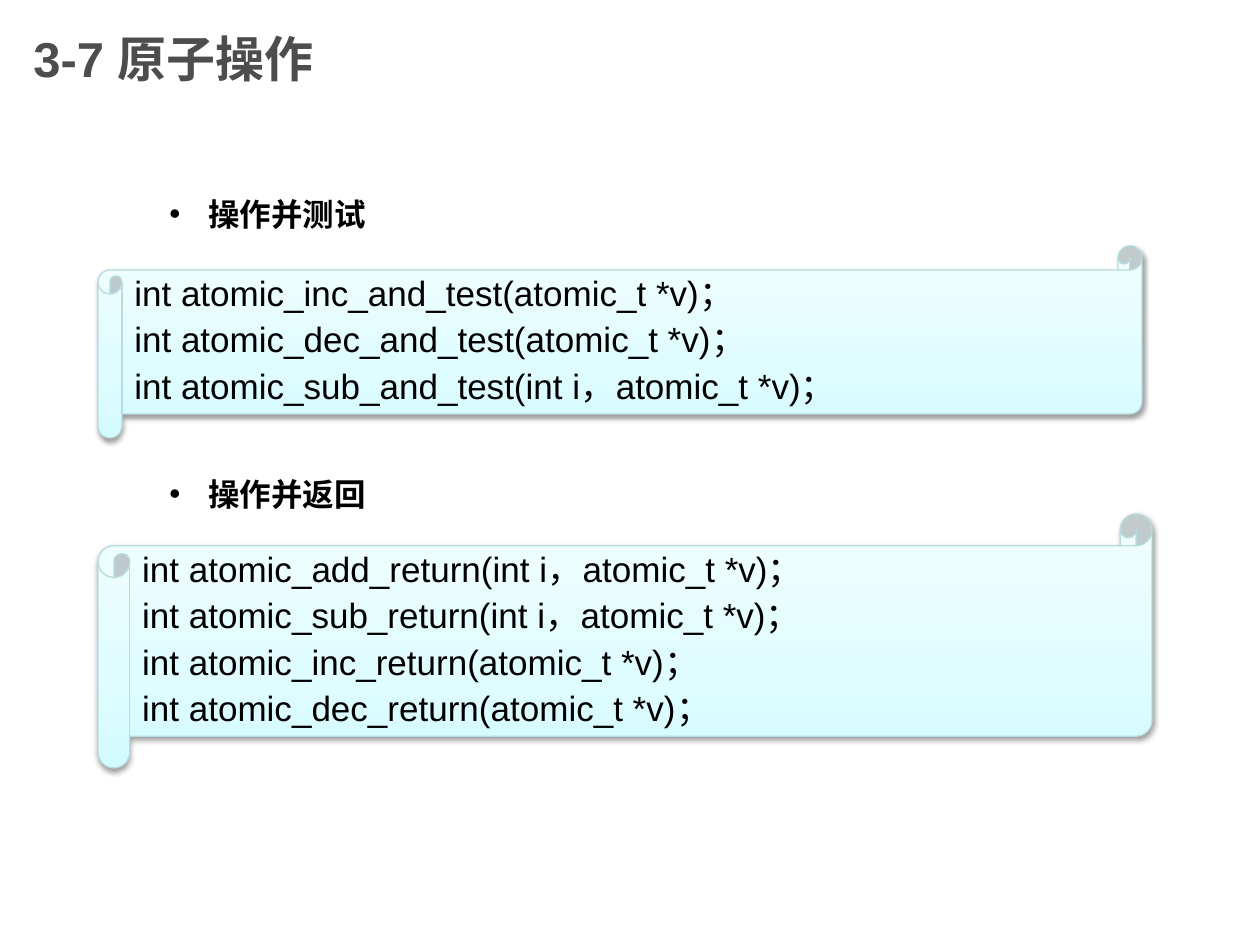
from copy import deepcopy

from lxml.etree import SubElement
from pptx import Presentation
from pptx.dml.color import RGBColor
from pptx.enum.shapes import MSO_SHAPE
from pptx.enum.text import MSO_ANCHOR, PP_ALIGN
from pptx.oxml.ns import qn
from pptx.util import Emu, Pt

PX_PER_INCH = 126
FONT = "Arial"
COLORS = {
    "title": "4D4D4D",
    "text": "000000",
    "scroll_line": "B6DCDF",
    "shadow": "000000",
    "scroll_bottom": "D3FBFF",
    "scroll_middle": "DFFCFF",
    "scroll_top": "F2FEFF",
}
SCROLL_STOPS = [(0, "scroll_bottom"), (0.35, "scroll_middle"), (1, "scroll_top")]


def px(length):
    return Emu(round(length * 914400 / PX_PER_INCH))


def color(name):
    return RGBColor.from_string(COLORS[name])


def format_runs(paragraph, size, color_name, bold=False):
    """Give every run its Latin and East Asian font, size and colour."""
    for run in paragraph.runs:
        run.font.name = FONT
        run.font.size = Pt(size)
        run.font.bold = bold
        run.font.color.rgb = color(color_name)
        SubElement(run.font._element, qn("a:ea"), typeface=FONT)


def add_line(slide, text, box, size, color_name, anchor=MSO_ANCHOR.TOP):
    """Add a bold one-line text box and return its paragraph."""
    shape = slide.shapes.add_textbox(*map(px, box))
    shape.text_frame.word_wrap = True
    shape.text_frame.vertical_anchor = anchor
    paragraph = shape.text_frame.paragraphs[0]
    paragraph.text = text
    format_runs(paragraph, size, color_name, bold=True)
    return paragraph


def add_bullet_heading(slide, text, top):
    paragraph = add_line(slide, text, (94, top, 1071, 50), 18, "text")
    properties = paragraph._p.get_or_add_pPr()
    properties.set("marL", str(px(102)))
    properties.set("indent", str(px(-39)))
    SubElement(properties, qn("a:buFont"), typeface=FONT)
    SubElement(properties, qn("a:buChar"), char="•")


def fill_gradient(shape):
    """Fill upwards from the darkest to the lightest scroll colour."""
    shape.fill.gradient()
    shape.fill.gradient_angle = 90
    stop_list = shape._element.spPr.find(qn("a:gradFill")).find(qn("a:gsLst"))
    stop_list.append(deepcopy(stop_list[0]))
    for stop, (position, name) in zip(shape.fill.gradient_stops, SCROLL_STOPS):
        stop.position = position
        stop.color.rgb = color(name)


def add_shadow(shape):
    shape.shadow.inherit = False
    effects = shape._element.spPr.find(qn("a:effectLst"))
    shadow = SubElement(effects, qn("a:outerShdw"), blurRad=str(Pt(3.1)),
                        dist=str(Pt(1.6)), dir="5400000", rotWithShape="0")
    shade = SubElement(shadow, qn("a:srgbClr"), val=COLORS["shadow"])
    SubElement(shade, qn("a:alpha"), val="38000")


def add_code_scroll(slide, lines, box):
    shape = slide.shapes.add_shape(MSO_SHAPE.HORIZONTAL_SCROLL, *map(px, box))
    fill_gradient(shape)
    shape.line.color.rgb = color("scroll_line")
    shape.line.width = Pt(0.75)
    add_shadow(shape)
    text_frame = shape.text_frame
    text_frame.word_wrap = True
    text_frame.vertical_anchor = MSO_ANCHOR.TOP
    text_frame.text = "\n".join(lines)
    for index, paragraph in enumerate(text_frame.paragraphs):
        paragraph.alignment = PP_ALIGN.LEFT
        paragraph.line_spacing = 0.9
        paragraph.space_before = Pt(5 if index else 0)
        format_runs(paragraph, 20, "text")


def main():
    presentation = Presentation()
    presentation.slide_width = px(1260)
    presentation.slide_height = px(945)
    slide = presentation.slides.add_slide(presentation.slide_layouts[6])

    add_line(slide, "3-7 原子操作", (21, 0, 945, 116), 28, "title", MSO_ANCHOR.MIDDLE)
    add_bullet_heading(slide, "操作并测试", 189)
    add_code_scroll(slide, [
        "int atomic_inc_and_test(atomic_t *v)；",
        "int atomic_dec_and_test(atomic_t *v)；",
        "int atomic_sub_and_test(int i，atomic_t *v)；",
    ], (98, 246, 1044, 192))
    add_bullet_heading(slide, "操作并返回", 469)
    add_code_scroll(slide, [
        "int atomic_add_return(int i，atomic_t *v)；",
        "int atomic_sub_return(int i，atomic_t *v)；",
        "int atomic_inc_return(atomic_t *v)；",
        "int atomic_dec_return(atomic_t *v)；",
    ], (98, 514, 1054, 254))

    presentation.save("out.pptx")


if __name__ == "__main__":
    main()
